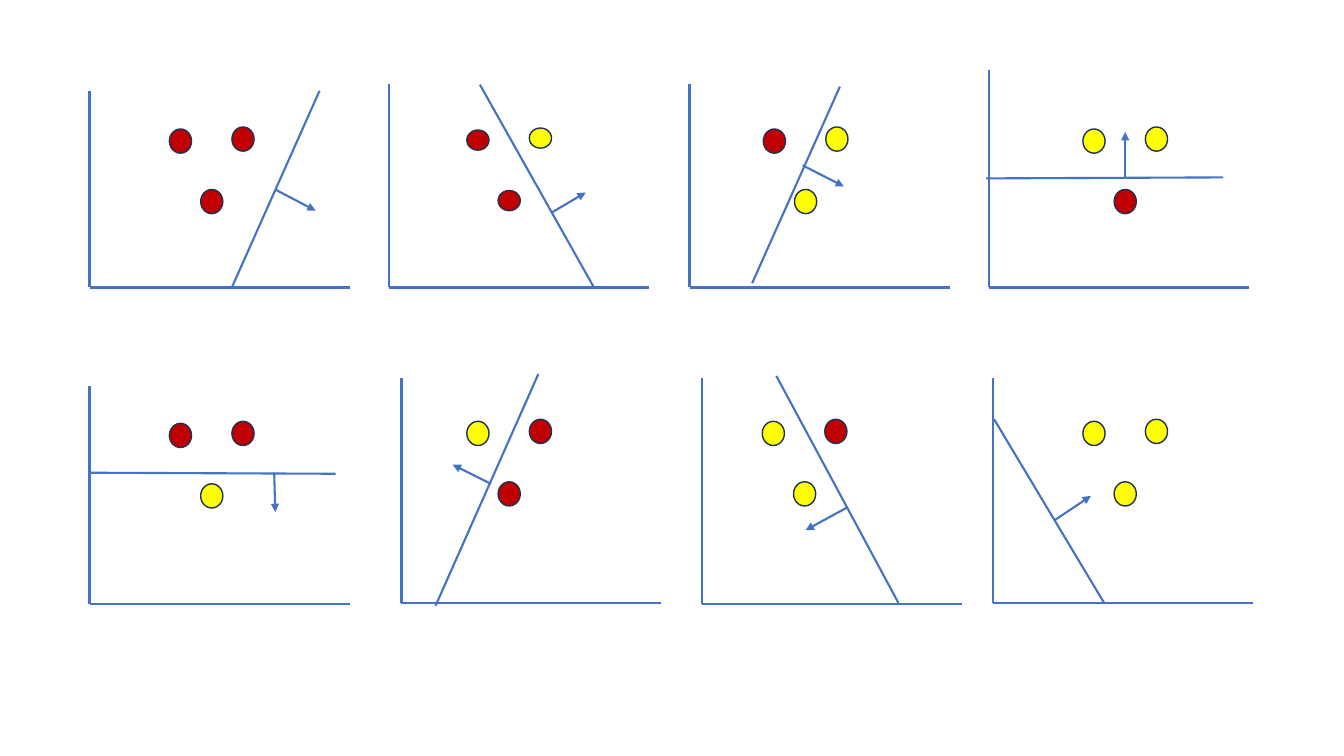
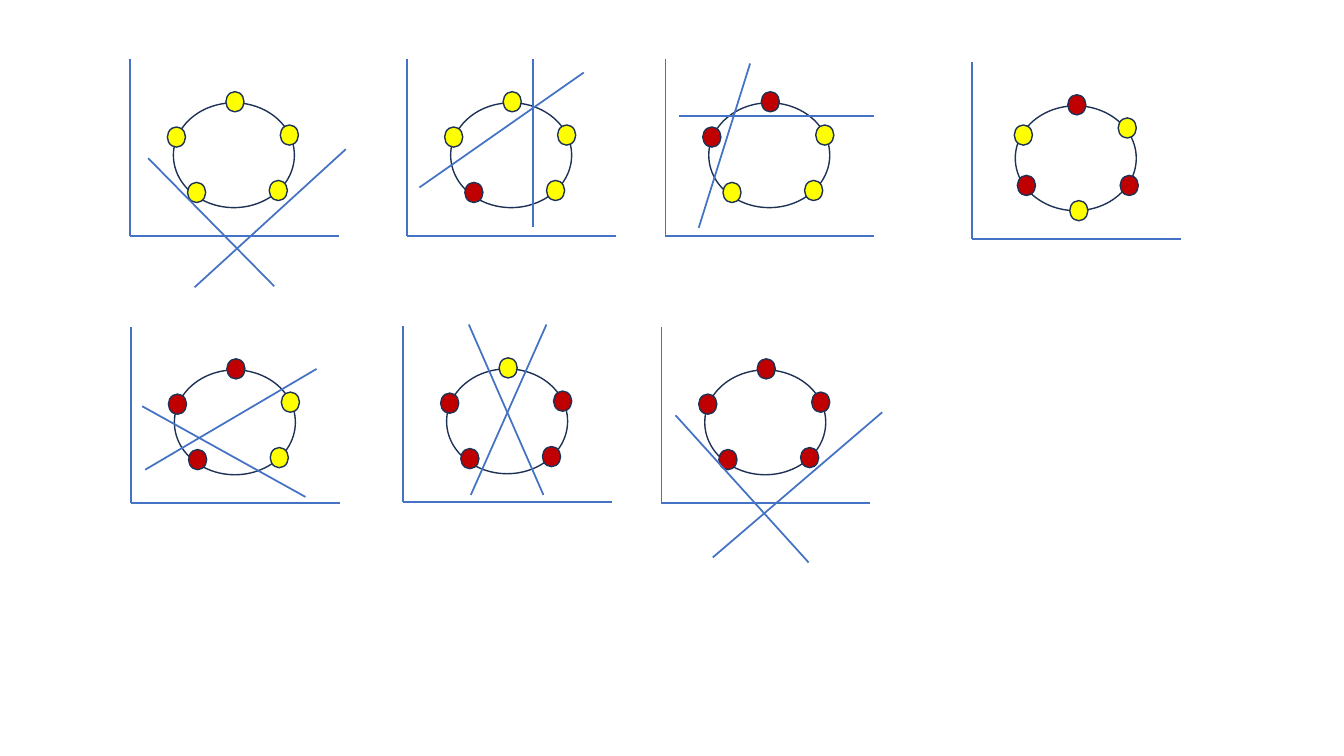
from lxml import etree
from pptx import Presentation
from pptx.dml.color import RGBColor
from pptx.enum.shapes import MSO_CONNECTOR as CONN, MSO_SHAPE as SHAPE
from pptx.oxml.ns import qn
from pptx.util import Cm, Pt

CM_PER_INCH = 2.54
BLANK = 6


def inch(v):
    return Cm(v * CM_PER_INCH)


def rgb(hex_color):
    return RGBColor.from_string(hex_color)


class Deck:
    """Holds the shared style and the slide being drawn."""
    BLUE, NAVY = "4472C4", "1E3256"
    FILLS = {"R": "C00000", "Y": "FFFF00"}

    def __init__(self):
        self.prs = Presentation()
        self.prs.slide_width, self.prs.slide_height = inch(13.33), inch(7.5)

    def new_slide(self):
        self.s = self.prs.slides.add_slide(self.prs.slide_layouts[BLANK])

    def line(self, x1, y1, x2, y2, width, arrow=False):
        c = self.s.shapes.add_connector(
            CONN.STRAIGHT, inch(x1), inch(y1), inch(x2), inch(y2))
        c.line.color.rgb = rgb(self.BLUE)
        c.line.width = Pt(width)
        if arrow:
            ln = c.line._get_or_add_ln()
            etree.SubElement(ln, qn("a:tailEnd"), type="triangle")
        etree.SubElement(c._element.spPr, qn("a:effectLst"))

    def oval(self, cx, cy, w, h, fill=None):
        """Ellipse given by its centre; unfilled without a fill colour."""
        sp = self.s.shapes.add_shape(
            SHAPE.OVAL, inch(cx - w / 2), inch(cy - h / 2), inch(w), inch(h))
        sp.shadow.inherit = False
        if fill:
            sp.fill.solid()
            sp.fill.fore_color.rgb = rgb(fill)
        else:
            sp.fill.background()
        sp.line.color.rgb = rgb(self.NAVY)
        sp.line.width = Pt(1)

    def axes(self, x, top, bottom, length, width):
        self.line(x, bottom, x + length, bottom, width)
        self.line(x, bottom, x, top, width)

    def dots(self, x, y, offsets, colors, w, h):
        for (dx, dy), color in zip(offsets, colors):
            self.oval(x + dx, y + dy, w, h, self.FILLS[color])


# Dot centres relative to the anchor of each panel
TRIANGLE = [(0, 0.02), (0.62, 0), (0.31, 0.62)]
PENTAGON = [(1.47, 1.3), (0.66, 1.32), (1.58, 0.75), (0.46, 0.77), (1.04, 0.42)]
HEXAGON = [(1.06, 1.47), (0.51, 0.72), (1.54, 0.65),
           (0.54, 1.22), (1.04, 0.42), (1.56, 1.22)]

# axis (x, top, bottom), dot anchor, colours, dot height, separator, normal
HALF_PLANES = [
    ((0.89, 0.9, 2.85), (1.79, 1.38), "RRR", 0.24,
     (3.17, 0.9, 2.3, 2.85), (2.73, 1.88, 3.13, 2.09)),
    ((3.86, 0.83, 2.85), (4.74, 1.37), "RYR", 0.2,
     (4.76, 0.84, 5.89, 2.85), (5.47, 2.11, 5.81, 1.91)),
    ((6.84, 0.83, 2.85), (7.68, 1.38), "RYY", 0.24,
     (8.33, 0.86, 7.46, 2.81), (7.96, 1.64, 8.37, 1.85)),
    ((9.81, 0.69, 2.85), (10.85, 1.38), "YYR", 0.24,
     (9.78, 1.77, 12.13, 1.76), (11.16, 1.76, 11.16, 1.31)),
    ((0.89, 3.83, 5.99), (1.79, 4.3), "RRY", 0.24,
     (3.33, 4.7, 0.9, 4.69), (2.72, 4.69, 2.73, 5.08)),
    ((3.98, 3.75, 5.98), (4.74, 4.28), "YRR", 0.24,
     (5.34, 3.71, 4.32, 6.01), (4.87, 4.8, 4.49, 4.61)),
    ((6.96, 3.75, 5.99), (7.67, 4.28), "YRY", 0.24,
     (7.7, 3.73, 8.91, 5.98), (8.41, 5.03, 7.99, 5.26)),
    ((9.85, 3.75, 5.98), (10.85, 4.28), "YYY", 0.24,
     (9.86, 4.16, 10.95, 5.98), (10.46, 5.16, 10.82, 4.92)),
]

# axis top (x, y), dot pattern, colours, separators
CIRCLES = [
    ((1.29, 0.59), PENTAGON, "YYYYY",
     [(1.47, 1.57, 2.72, 2.84), (1.93, 2.85, 3.43, 1.48)]),
    ((4.04, 0.59), PENTAGON, "YRYYY",
     [(5.79, 0.72, 4.16, 1.86), (5.29, 2.25, 5.29, 0.59)]),
    ((6.6, 0.59), PENTAGON, "YYYRR",
     [(8.67, 1.15, 6.73, 1.15), (7.44, 0.63, 6.93, 2.26)]),
    ((9.64, 0.62), HEXAGON, "YYYRRR", []),
    ((1.3, 3.24), PENTAGON, "YRYRR",
     [(3.14, 3.66, 1.44, 4.66), (3.03, 4.93, 1.41, 4.03)]),
    ((4, 3.23), PENTAGON, "RRRRY",
     [(5.42, 3.22, 4.67, 4.91), (5.39, 4.91, 4.65, 3.22)]),
    ((6.56, 3.24), PENTAGON, "RRRRR",
     [(8.75, 4.09, 7.07, 5.53), (8.02, 5.58, 6.7, 4.12)]),
]


def half_plane_slide(deck):
    deck.new_slide()
    for axis, anchor, colors, dot_h, separator, normal in HALF_PLANES:
        deck.axes(*axis, length=2.58, width=1.75)
        deck.dots(*anchor, TRIANGLE, colors, 0.22, dot_h)
        deck.line(*separator, width=1.5)
        deck.line(*normal, width=1.5, arrow=True)


def circle_slide(deck):
    deck.new_slide()
    for (x, y), pattern, colors, separators in CIRCLES:
        deck.axes(x, y, y + 1.75, length=2.07, width=1.25)
        deck.oval(x + 1.03, y + 0.95, 1.2, 1.04)
        deck.dots(x, y, pattern, colors, 0.18, 0.2)
        for separator in separators:
            deck.line(*separator, width=1.25)


def main():
    deck = Deck()
    half_plane_slide(deck)
    circle_slide(deck)
    deck.prs.save("out.pptx")


if __name__ == "__main__":
    main()
